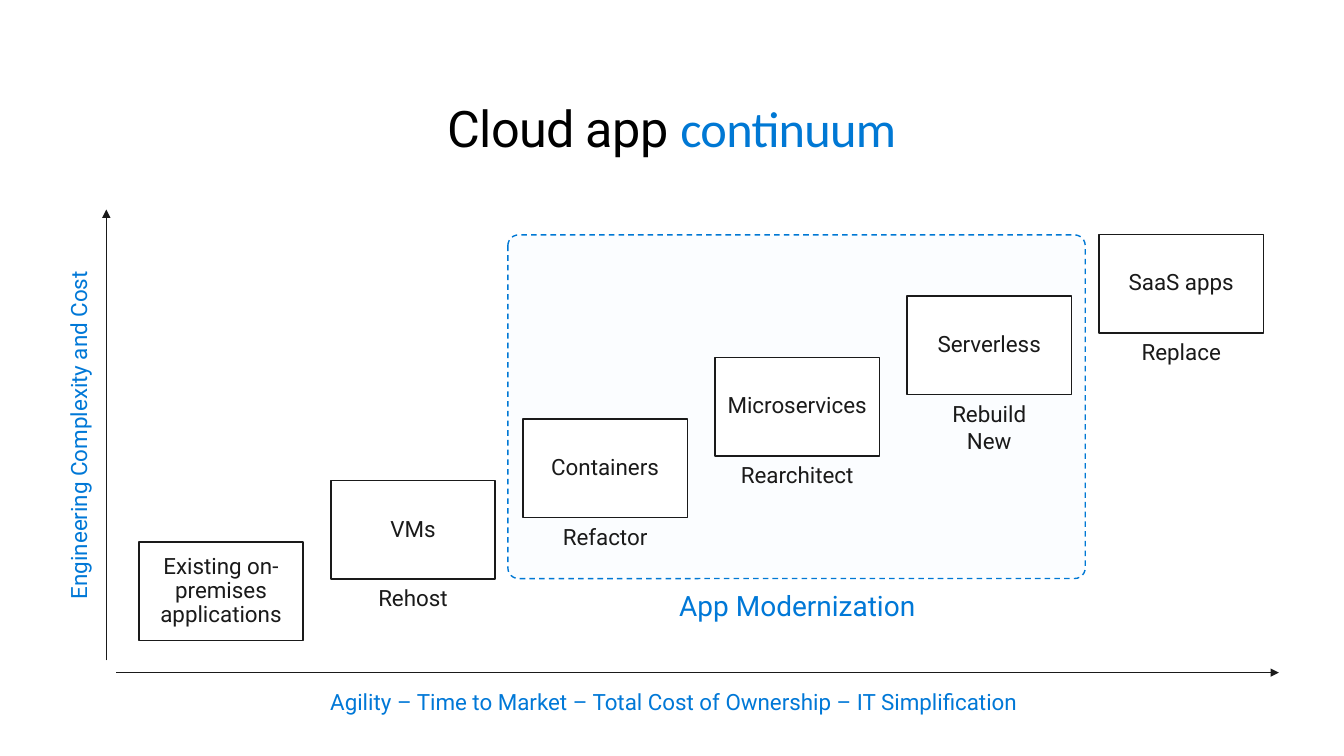
from lxml.etree import SubElement
from pptx import Presentation
from pptx.dml.color import RGBColor
from pptx.enum.dml import MSO_LINE
from pptx.enum.shapes import MSO_CONNECTOR, MSO_SHAPE
from pptx.enum.text import MSO_ANCHOR, MSO_AUTO_SIZE, PP_ALIGN
from pptx.oxml.ns import qn
from pptx.util import Cm, Pt

INK = "1A1A1A"
BLUE = "0078D7"
TITLE_BLUE = "0078D4"
STAGE_WIDTH, STAGE_HEIGHT = 4.14, 2.48
FIRST_LEFT, FIRST_TOP = 3.5, 13.66
STEP_RIGHT, STEP_UP = 4.84, 1.55

STAGES = [
    ("Existing on-premises applications", None, 0.51),
    ("VMs", "Rehost", 0.51),
    ("Containers", "Refactor", 0.51),
    ("Microservices", "Rearchitect", 0.25),
    ("Serverless", "Rebuild\nNew", 0.51),
    ("SaaS apps", "Replace", 0.51),
]


def colour(value):
    return RGBColor.from_string(value)


def style_run(run, size, ink, font="Roboto"):
    run.font.size = Pt(size)
    run.font.name = font
    run.font.color.rgb = colour(ink)


def set_insets(frame, side, end):
    frame.margin_left = frame.margin_right = Cm(side)
    frame.margin_top = frame.margin_bottom = Cm(end)


def add_caption(shapes, words, left, top, width, height, size=16, ink=BLUE):
    caption = shapes.add_textbox(Cm(left), Cm(top), Cm(width), Cm(height))
    frame = caption.text_frame
    frame.word_wrap = True
    frame.auto_size = MSO_AUTO_SIZE.SHAPE_TO_FIT_TEXT
    set_insets(frame, 0, 0)
    paragraph = frame.paragraphs[0]
    paragraph.text = words
    paragraph.alignment = PP_ALIGN.CENTER
    for run in paragraph.runs:
        style_run(run, size, ink)
    return caption


def add_panel(shapes, kind, left, top, width, height, fill, outline):
    panel = shapes.add_shape(kind, Cm(left), Cm(top), Cm(width), Cm(height))
    panel.shadow.inherit = False
    panel.fill.solid()
    panel.fill.fore_color.rgb = colour(fill)
    panel.line.color.rgb = colour(outline)
    panel.line.width = Pt(1)
    return panel


def add_title(shapes):
    title = add_caption(shapes, "Cloud app ", 1.63, 2.44, 30.61, 1.55, 36, "000000")
    paragraph = title.text_frame.paragraphs[0]
    keyword = paragraph.add_run()
    keyword.text = "continuum"
    style_run(keyword, 36, TITLE_BLUE, "Calibri")
    for run in paragraph.runs:
        run._r.get_or_add_rPr().set("spc", "-50")


def add_axis(shapes, x1, y1, x2, y2):
    axis = shapes.add_connector(MSO_CONNECTOR.STRAIGHT, Cm(x1), Cm(y1), Cm(x2), Cm(y2))
    axis.line.color.rgb = colour(INK)
    axis.line.width = Pt(1)
    SubElement(axis.line._get_or_add_ln(), qn("a:tailEnd"), type="triangle")
    SubElement(axis._element.spPr, qn("a:effectLst"))


def add_stage(shapes, name, strategy, left, top, side_inset):
    if strategy:
        shapes = shapes.add_group_shape().shapes
    stage = add_panel(shapes, MSO_SHAPE.RECTANGLE, left, top,
                      STAGE_WIDTH, STAGE_HEIGHT, "FFFFFF", INK)
    frame = stage.text_frame
    frame.word_wrap = True
    frame.vertical_anchor = MSO_ANCHOR.MIDDLE
    set_insets(frame, side_inset, 0.41)
    paragraph = frame.paragraphs[0]
    paragraph.text = name
    paragraph.alignment = PP_ALIGN.CENTER
    paragraph.line_spacing = 0.9
    style_run(paragraph.runs[0], 16, INK)
    if strategy:
        lines = strategy.count("\n") + 1
        add_caption(shapes, strategy, left + 0.24, top + 2.62, 3.66, 0.69 * lines, ink=INK)


def main():
    deck = Presentation()
    deck.slide_width, deck.slide_height = Cm(33.87), Cm(19.05)
    shapes = deck.slides.add_slide(deck.slide_layouts[6]).shapes

    add_title(shapes)
    modernization = add_panel(shapes, MSO_SHAPE.ROUNDED_RECTANGLE,
                              12.8, 5.92, 14.55, 8.66, "FBFDFF", TITLE_BLUE)
    modernization.adjustments[0] = 0.031
    modernization.line.dash_style = MSO_LINE.DASH

    add_axis(shapes, 2.68, 16.64, 2.68, 5.28)
    add_axis(shapes, 2.93, 16.95, 32.23, 16.95)
    add_caption(shapes, "Agility – Time to Market – Total Cost of Ownership – IT Simplification",
                8, 17.35, 17.96, 0.69)
    cost = add_caption(shapes, "Engineering Complexity and Cost", -2.72, 10.62, 9.4, 0.69)
    cost.rotation = 270

    for index, (name, strategy, side_inset) in enumerate(STAGES):
        add_stage(shapes, name, strategy, FIRST_LEFT + index * STEP_RIGHT,
                  FIRST_TOP - index * STEP_UP, side_inset)
    add_caption(shapes, "App Modernization", 16.54, 14.83, 7.11, 0.86, 20)
    deck.save("out.pptx")


if __name__ == "__main__":
    main()
